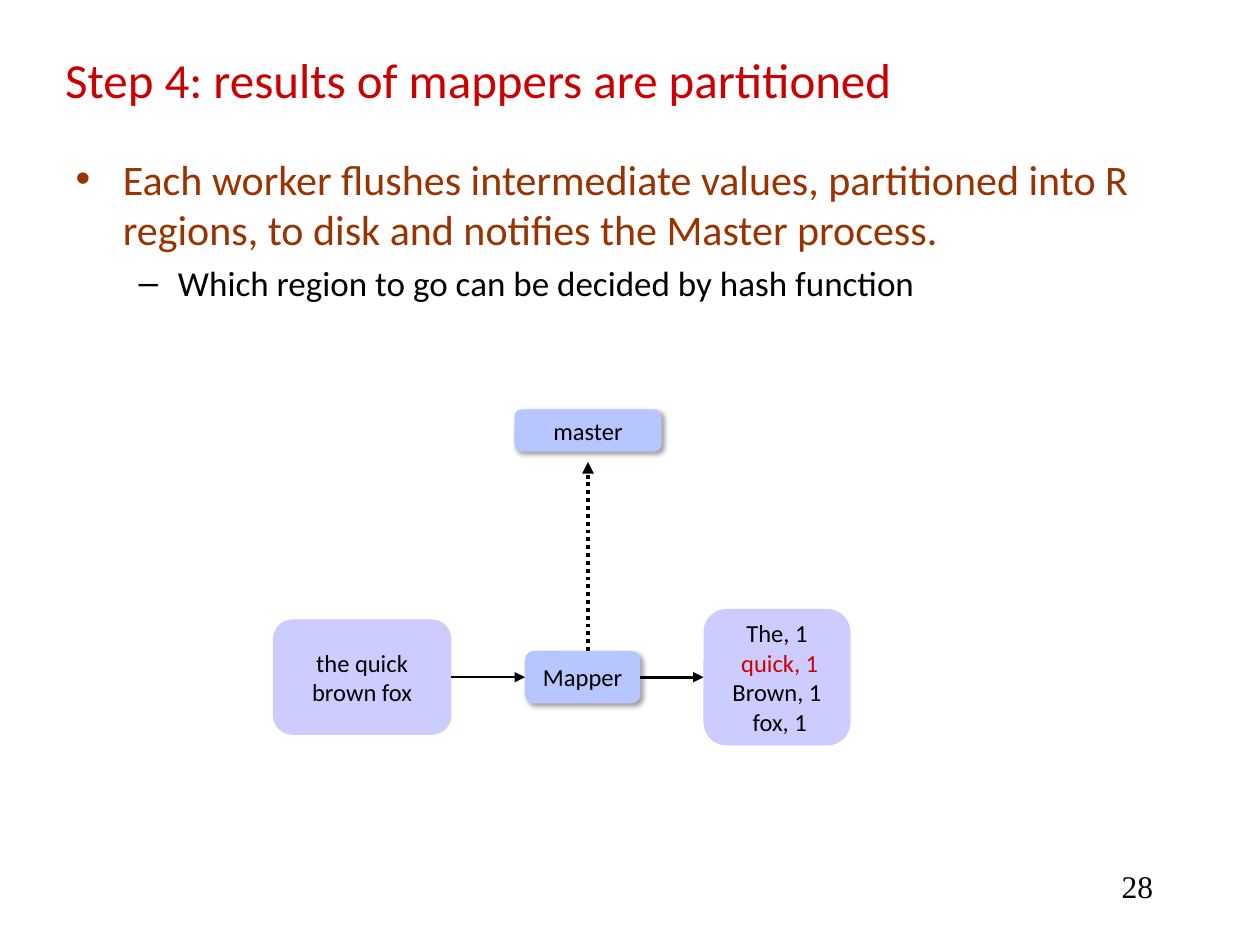
from dataclasses import dataclass

from lxml.etree import SubElement
from pptx import Presentation
from pptx.dml.color import RGBColor as RGB
from pptx.enum.dml import MSO_LINE as Dash
from pptx.enum.shapes import MSO_CONNECTOR as Link, MSO_SHAPE as Shape
from pptx.enum.text import MSO_ANCHOR as Anchor, MSO_AUTO_SIZE as Fit, PP_ALIGN as Align
from pptx.oxml.ns import qn
from pptx.util import Pt


@dataclass(frozen=True)
class Theme:
    black: RGB = RGB(0, 0, 0)
    red: RGB = RGB(0xCC, 0, 0)
    brown: RGB = RGB(0x99, 0x33, 0)
    blue: RGB = RGB(0xB7, 0xC6, 0xFE)
    lilac: RGB = RGB(0xCC, 0xCC, 0xFF)
    sans: str = "Calibri"
    serif: str = "Times New Roman"
    title: int = 28
    body: int = 24
    sub: int = 20
    page: int = 18
    label: int = 14


theme = Theme()


def write(para, text, size, color, face=theme.sans):
    run = para.add_run()
    run.text = text
    run.font.size = Pt(size)
    run.font.name = face
    run.font.color.rgb = color


def place(shape, left, top, width, height):
    shape.left, shape.top = Pt(left), Pt(top)
    shape.width, shape.height = Pt(width), Pt(height)


deck = Presentation()
deck.slide_width, deck.slide_height = Pt(720), Pt(540)
slide = deck.slides.add_slide(deck.slide_layouts[1])
shapes = slide.shapes

# Title and list
title = shapes.title
place(title, 30, 30, 660, 30)
frame = title.text_frame
frame.auto_size = Fit.NONE
frame.vertical_anchor = Anchor.MIDDLE
frame.paragraphs[0].alignment = Align.LEFT
write(frame.paragraphs[0], "Step 4: results of mappers are partitioned",
      theme.title, theme.red)

body = slide.placeholders[1]
place(body, 36, 84, 654, 396)
frame = body.text_frame
frame.auto_size = Fit.NONE
first = frame.paragraphs[0]
first.space_before = Pt(0)
write(first, "Each worker flushes intermediate values, partitioned into R regions, "
      "to disk and notifies the Master process.", theme.body, theme.brown)
second = frame.add_paragraph()
second.level = 1
write(second, "Which region to go can be decided by hash function",
      theme.sub, theme.black)

# Page number
page = shapes.add_textbox(Pt(516), Pt(492), Pt(150), Pt(36))
page.text_frame.word_wrap = True
para = page.text_frame.paragraphs[0]
para.alignment = Align.RIGHT
write(para, "28", theme.page, theme.black, theme.serif)

# Boxes: place, fill, raised with a shadow, lines of text
boxes = [
    ((300, 372, 66, 30), theme.blue, True, [("Mapper", theme.black)]),
    ((156, 354, 102, 66), theme.lilac, False,
     [("the quick", theme.black), ("brown fox", theme.black)]),
    ((294, 234, 84, 24), theme.blue, True, [("master", theme.black)]),
    ((402, 348, 84, 78), theme.lilac, False,
     [("The, 1", theme.black), (" quick, 1", theme.red),
      ("Brown, 1", theme.black), (" fox, 1", theme.black)]),
]
for (left, top, width, height), fill, raised, lines in boxes:
    box = shapes.add_shape(Shape.ROUNDED_RECTANGLE, Pt(left), Pt(top),
                           Pt(width), Pt(height))
    box.adjustments[0] = 0.17
    box.fill.solid()
    box.fill.fore_color.rgb = fill
    box.line.fill.background()
    box.shadow.inherit = False
    if raised:
        effects = box._element.spPr.find(qn("a:effectLst"))
        shade = SubElement(effects, qn("a:outerShdw"), blurRad=str(Pt(3)),
                           dist=str(Pt(2)), dir=str(45 * 60000),
                           algn="tl", rotWithShape="0")
        tint = SubElement(shade, qn("a:srgbClr"), val=str(theme.black))
        SubElement(tint, qn("a:alpha"), val="38000")
    frame = box.text_frame
    frame.word_wrap = raised
    frame.vertical_anchor = Anchor.MIDDLE
    for row, (text, color) in enumerate(lines):
        para = frame.add_paragraph() if row else frame.paragraphs[0]
        para.alignment = Align.CENTER
        write(para, text, theme.label, color)

# Arrows: start, end, width, dash
arrows = [
    ((258, 387), (300, 387), 1.25, None),
    ((366, 387), (402, 387), 1.5, None),
    ((336, 372), (336, 264), 2.25, Dash.ROUND_DOT),
]
for start, end, width, dash in arrows:
    arrow = shapes.add_connector(Link.STRAIGHT, *map(Pt, start + end))
    arrow.line.width = Pt(width)
    arrow.line.color.rgb = theme.black
    if dash:
        arrow.line.dash_style = dash
    SubElement(arrow.line._get_or_add_ln(), qn("a:tailEnd"), type="triangle")
    SubElement(arrow._element.spPr, qn("a:effectLst"))

deck.save("out.pptx")
